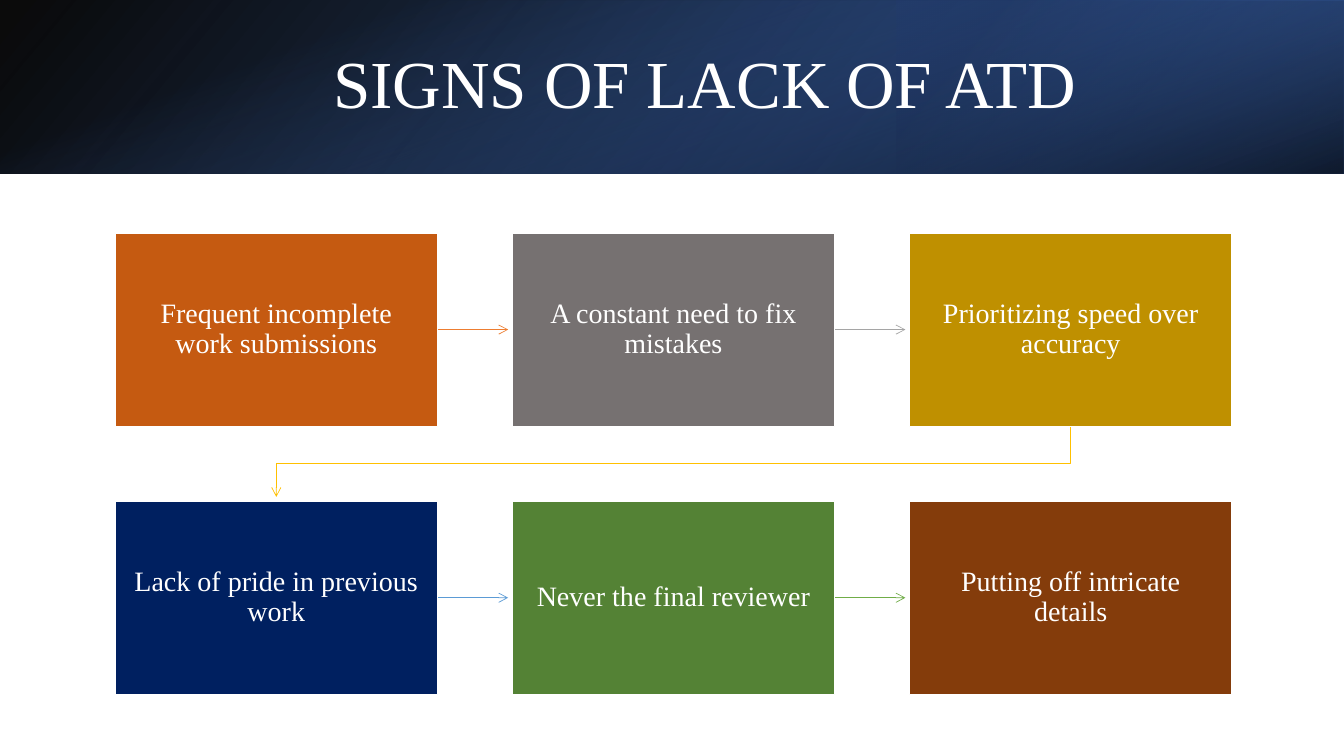
from dataclasses import dataclass

import lxml.etree
import pptx
import pptx.dml.color
import pptx.enum.shapes
import pptx.enum.text
import pptx.oxml.ns
import pptx.shapes.base
import pptx.slide
import pptx.text.text
import pptx.util

Inches = pptx.util.Inches
qualify = pptx.oxml.ns.qn
FONT = "Times New Roman"
COLORS = {
    "white": "FFFFFF", "black": "000000", "navy": "2F5597", "deep navy": "203864",
    "blue": "4472C4", "rust": "C55A11", "gray": "767171", "mustard": "BF9000",
    "midnight": "002060", "green": "548235", "brown": "843C0B", "orange": "ED7D31",
    "light gray": "A5A5A5", "gold": "FFC000", "sky": "5B9BD5", "light green": "70AD47",
}
COLUMNS = 3
BOX_LEFT, BOX_TOP = 1.14, 2.31
BOX_WIDTH, BOX_HEIGHT = 3.2, 1.92
COLUMN_STEP, ROW_STEP = 3.94, 2.66
ARROW_LENGTH = 0.7


@dataclass
class Stop:
    position: int
    color: str
    opacity: int


@dataclass
class Band:
    left: float
    top: float
    width: float
    height: float
    rotation: int
    flipped: bool
    angle: int
    stops: tuple[Stop, Stop]


@dataclass
class Sign:
    text: str
    fill: str
    arrow: str | None


BANDS = [
    Band(0, 0, 13.33, 1.72, 0, True, 140, (Stop(0, "black", 96), Stop(100, "navy", 100))),
    Band(8.89, 0, 4.44, 1.72, 180, True, 320, (Stop(19, "deep navy", 68), Stop(100, "blue", 79))),
    Band(5.8, -5.8, 1.72, 13.33, 90, False, 340, (Stop(23, "blue", 0), Stop(99, "black", 74))),
]
SIGNS = [
    Sign("Frequent incomplete work submissions", "rust", "orange"),
    Sign("A constant need to fix mistakes", "gray", "light gray"),
    Sign("Prioritizing speed over accuracy", "mustard", "gold"),
    Sign("Lack of pride in previous work", "midnight", "sky"),
    Sign("Never the final reviewer", "green", "light green"),
    Sign("Putting off intricate details", "brown", None),
]


def rgb(name: str) -> pptx.dml.color.RGBColor:
    return pptx.dml.color.RGBColor.from_string(COLORS[name])


def write_text(frame: pptx.text.text.TextFrame, text: str, size: int) -> None:
    frame.text = text
    frame.word_wrap = True
    frame.auto_size = pptx.enum.text.MSO_AUTO_SIZE.NONE
    frame.vertical_anchor = pptx.enum.text.MSO_ANCHOR.MIDDLE
    paragraph = frame.paragraphs[0]
    paragraph.alignment = pptx.enum.text.PP_ALIGN.CENTER
    paragraph.line_spacing = 0.9
    paragraph.font.name = FONT
    paragraph.font.size = pptx.util.Pt(size)
    paragraph.font.color.rgb = rgb("white")


def add_rectangle(slide: pptx.slide.Slide, left: float, top: float,
                  width: float, height: float) -> pptx.shapes.base.BaseShape:
    shape = slide.shapes.add_shape(
        pptx.enum.shapes.MSO_SHAPE.RECTANGLE,
        Inches(left), Inches(top), Inches(width), Inches(height))
    shape.shadow.inherit = False
    return shape


def add_band(slide: pptx.slide.Slide, band: Band) -> None:
    shape = add_rectangle(slide, band.left, band.top, band.width, band.height)
    shape.rotation = band.rotation
    shape.line.fill.background()
    properties = shape.element.spPr
    if band.flipped:
        properties.find(qualify("a:xfrm")).set("flipH", "1")
    gradient = lxml.etree.Element(qualify("a:gradFill"))
    stop_list = lxml.etree.SubElement(gradient, qualify("a:gsLst"))
    for stop in band.stops:
        entry = lxml.etree.SubElement(stop_list, qualify("a:gs"), pos=str(stop.position * 1000))
        color = lxml.etree.SubElement(entry, qualify("a:srgbClr"), val=COLORS[stop.color])
        lxml.etree.SubElement(color, qualify("a:alpha"), val=str(stop.opacity * 1000))
    lxml.etree.SubElement(gradient, qualify("a:lin"), ang=str(band.angle * 60000), scaled="0")
    properties.find(qualify("a:prstGeom")).addnext(gradient)


def add_title(slide: pptx.slide.Slide, text: str) -> None:
    title = slide.shapes.title
    title.left, title.top = Inches(1.5), Inches(0.38)
    title.width, title.height = Inches(10.98), Inches(0.96)
    write_text(title.text_frame, text, 48)
    title.element.getparent().append(title.element)


def add_box(slide: pptx.slide.Slide, sign: Sign, left: float, top: float) -> None:
    shape = add_rectangle(slide, left, top, BOX_WIDTH, BOX_HEIGHT)
    shape.fill.solid()
    shape.fill.fore_color.rgb = rgb(sign.fill)
    shape.line.color.rgb = rgb("white")
    shape.line.width = pptx.util.Pt(1)
    frame = shape.text_frame
    frame.margin_left = frame.margin_right = Inches(0.16)
    frame.margin_top = frame.margin_bottom = Inches(0.16)
    write_text(frame, sign.text, 20)


def style_arrow(arrow: pptx.shapes.base.BaseShape, color: str) -> None:
    arrow.line.color.rgb = rgb(color)
    arrow.line.width = pptx.util.Pt(0.5)
    outline = arrow.element.spPr.find(qualify("a:ln"))
    lxml.etree.SubElement(outline, qualify("a:tailEnd"), type="arrow")


def add_straight_arrow(slide: pptx.slide.Slide, color: str, left: float, top: float) -> None:
    start, middle = left + BOX_WIDTH, Inches(top + BOX_HEIGHT / 2)
    arrow = slide.shapes.add_connector(
        pptx.enum.shapes.MSO_CONNECTOR.STRAIGHT,
        Inches(start), middle, Inches(start + ARROW_LENGTH), middle)
    style_arrow(arrow, color)
    lxml.etree.SubElement(arrow.element.spPr, qualify("a:effectLst"))


def add_return_arrow(slide: pptx.slide.Slide, color: str, left: float, top: float) -> None:
    start_x, end_x = Inches(left + BOX_WIDTH / 2), Inches(BOX_LEFT + BOX_WIDTH / 2)
    start_y = Inches(top + BOX_HEIGHT)
    turn_y = Inches(top + (BOX_HEIGHT + ROW_STEP) / 2)
    end_y = start_y + Inches(ARROW_LENGTH)
    builder = slide.shapes.build_freeform(start_x, start_y)
    builder.add_line_segments([(start_x, turn_y), (end_x, turn_y), (end_x, end_y)], close=False)
    arrow = builder.convert_to_shape()
    arrow.fill.background()
    arrow.shadow.inherit = False
    style_arrow(arrow, color)


def main() -> None:
    presentation = pptx.Presentation()
    presentation.slide_width = Inches(13.33)
    presentation.slide_height = Inches(7.5)
    slide = presentation.slides.add_slide(presentation.slide_layouts.get_by_name("Title Only"))
    for band in BANDS:
        add_band(slide, band)
    add_title(slide, "SIGNS OF LACK OF ATD")
    for index, sign in enumerate(SIGNS):
        row, column = divmod(index, COLUMNS)
        left = BOX_LEFT + column * COLUMN_STEP
        top = BOX_TOP + row * ROW_STEP
        if sign.arrow:
            add_arrow = add_straight_arrow if column < COLUMNS - 1 else add_return_arrow
            add_arrow(slide, sign.arrow, left, top)
        add_box(slide, sign, left, top)
    presentation.save("out.pptx")


if __name__ == "__main__":
    main()
